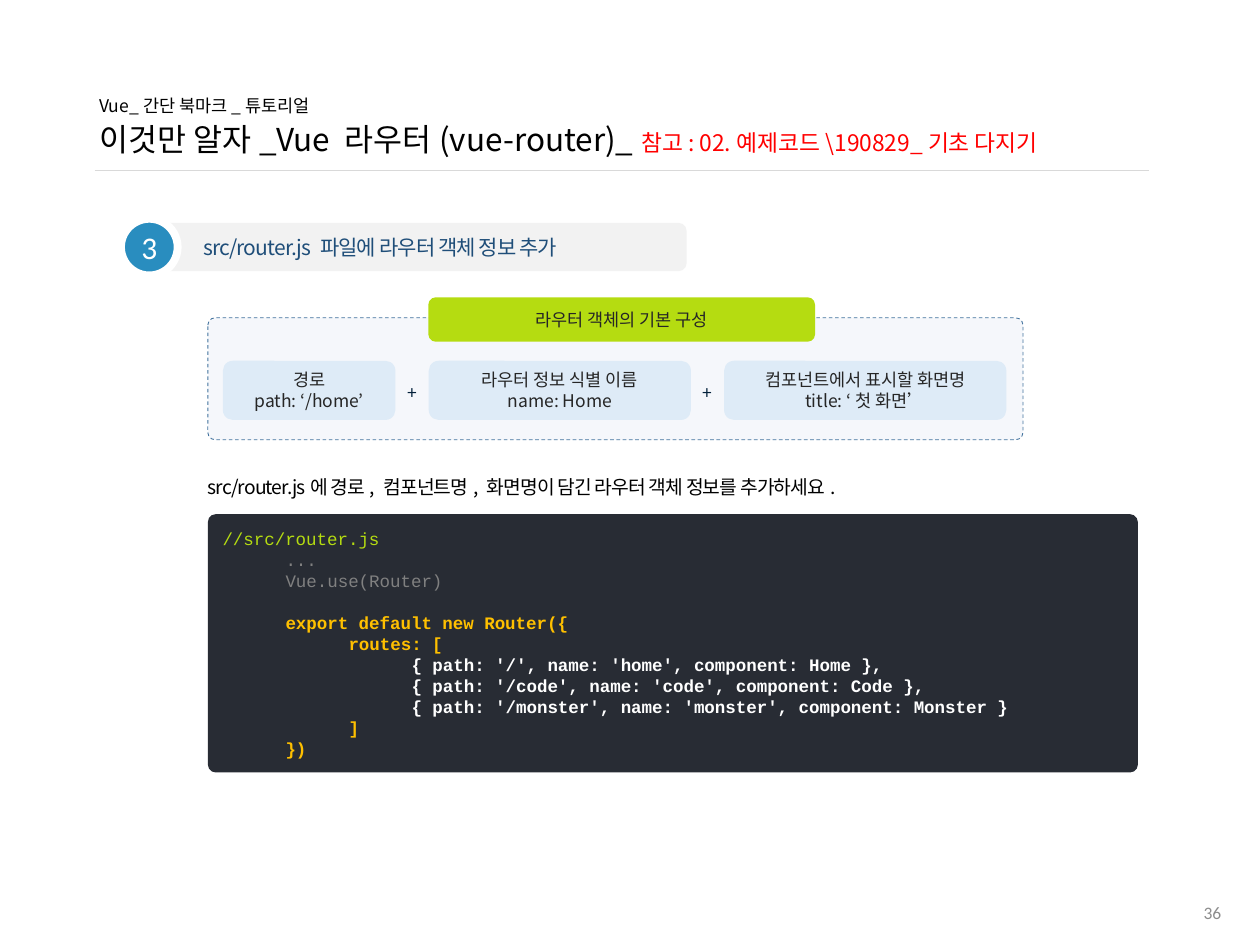
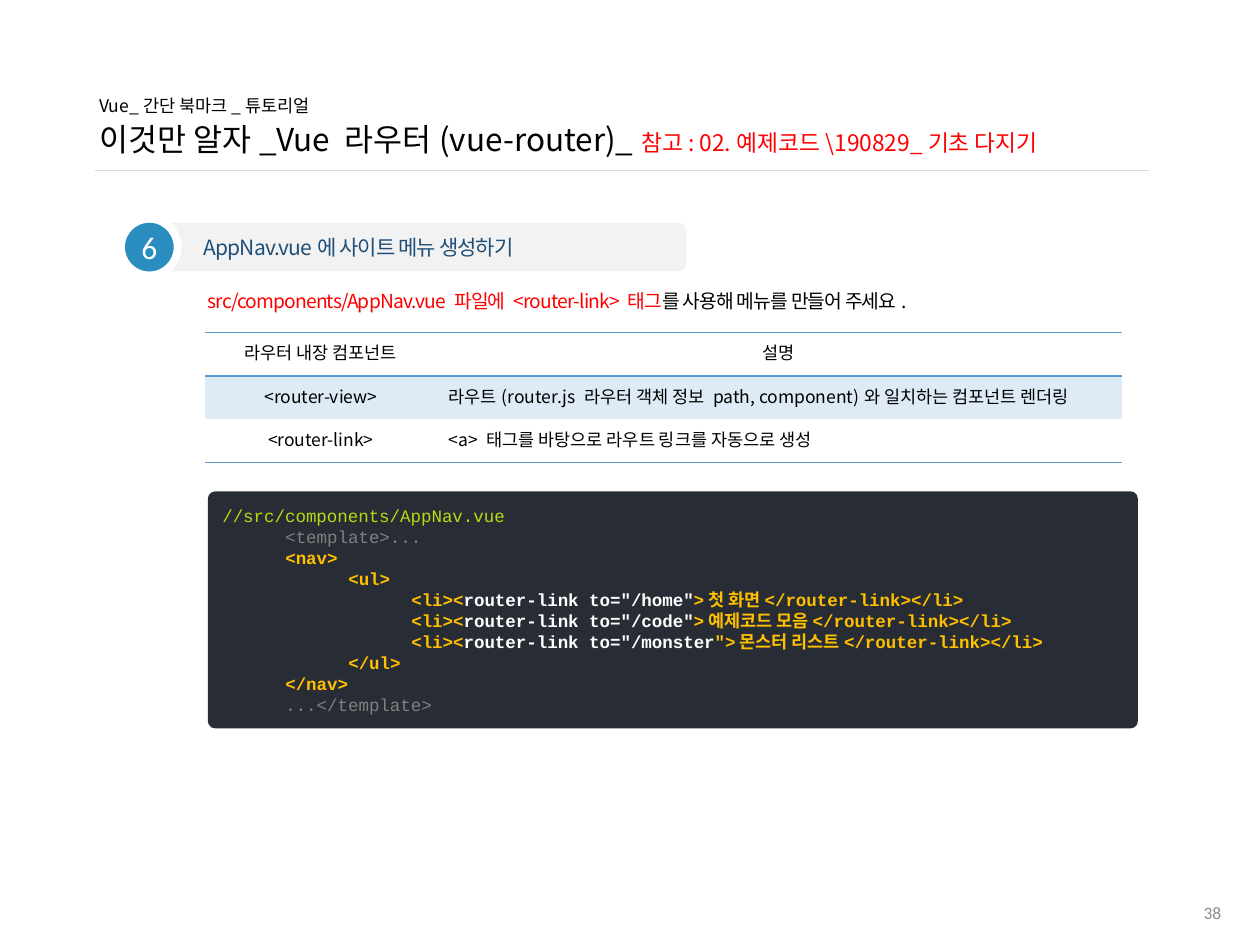
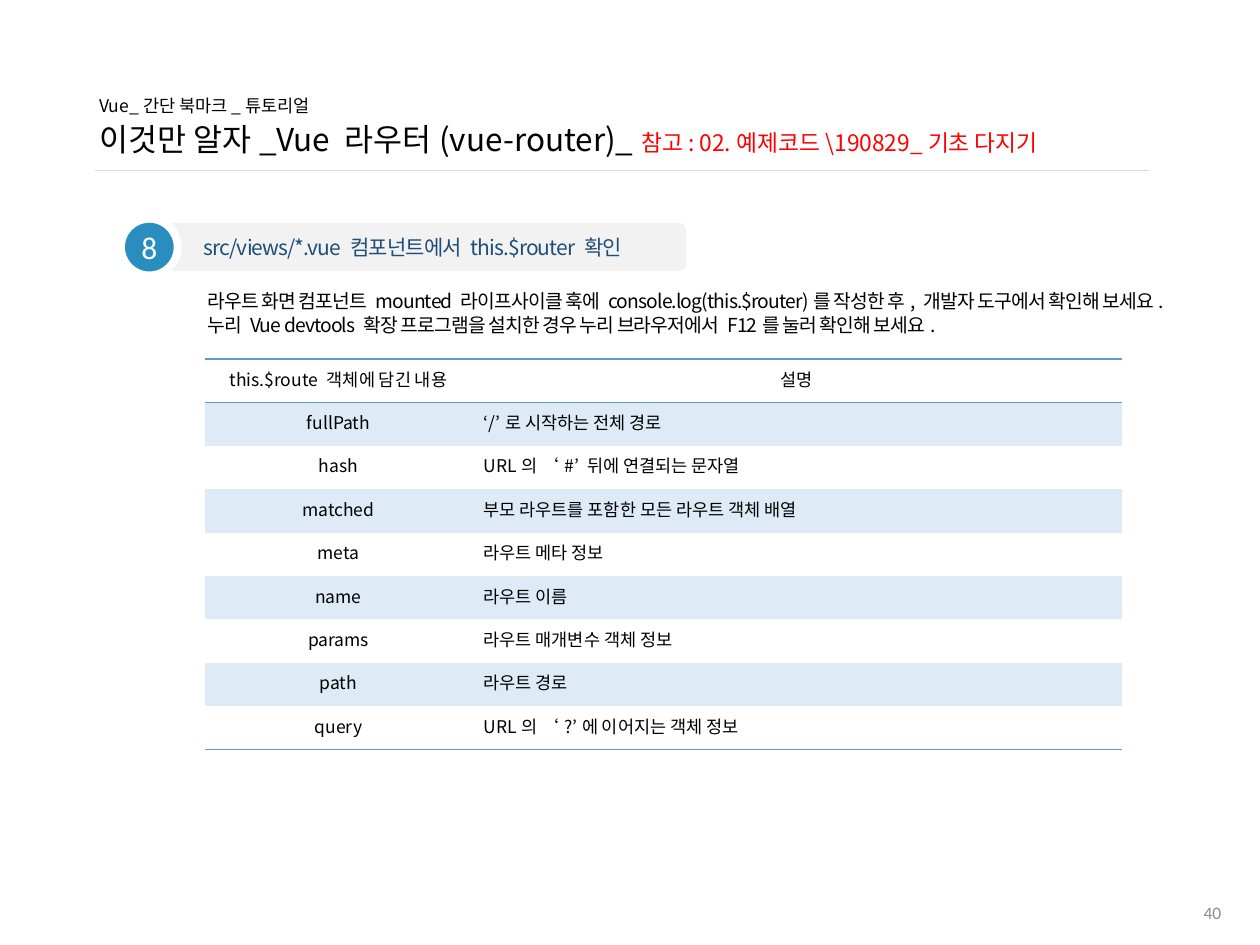
from lxml.etree import SubElement
from pptx import Presentation
from pptx.dml.color import RGBColor
from pptx.enum.dml import MSO_LINE
from pptx.enum.shapes import MSO_CONNECTOR, MSO_SHAPE
from pptx.enum.text import MSO_ANCHOR, PP_ALIGN
from pptx.oxml.ns import qn
from pptx.util import Pt

COLORS = {
    "black": "000000", "white": "FFFFFF", "red": "FF0000", "rule": "D9D9D9",
    "number": "8C8C8C", "bar": "F2F2F2", "heading": "1F4E79", "badge": "298DBF",
    "editor": "282C34", "lime": "B5DC11", "gray": "808080", "gold": "FFC000",
    "panel": "DAE3F3", "dash": "43739E", "chip": "DEEBF7", "chip_text": "262626",
    "plus": "02203A", "table_line": "5B9BD5",
}
SANS, MONO, NUMERALS = "Noto Sans CJK KR", "Courier New", "Calibri"
NO_STYLE = "{2D5ABB26-0587-4C30-8999-92F81FD0307C}"
TITLE_RUNS = [
    ("이것만 알자_Vue 라우터(vue-router)_", 18, "black"),
    ("참고: 02.예제코드\\190829_기초 다지기", 13, "red"),
]
ROUTER_CODE = [
    (0, [("//src/router.js", "lime")]),
    (1, [("...", "gray")]),
    (1, [("Vue.use(Router)", "gray")]),
    (1, [("export default new Router({", "gold")]),
    (2, [("routes: [", "gold")]),
    (3, [("{ path: '/', name: 'home', component: Home },", "white")]),
    (3, [("{ path: '/code', name: 'code', component: Code },", "white")]),
    (3, [("{ path: '/monster', name: 'monster', component: Monster }", "white")]),
    (2, [("]", "gold")]),
    (1, [("})", "gold")]),
]
NAV_CODE = [
    (0, [("//src/components/AppNav.vue", "lime")]),
    (1, [("<template>...", "gray")]),
    (1, [("<nav>", "gold")]),
    (2, [("<ul>", "gold")]),
    (3, [("<li><", "gold"), ('router-link to="/home"', "white"),
         (">첫 화면</router-link></li>", "gold")]),
    (3, [("<li><", "gold"), ('router-link to="/code"', "white"),
         (">예제코드 모음</router-link></li>", "gold")]),
    (3, [("<li><", "gold"), ('router-link to="/monster', "white"),
         ('">몬스터 리스트</router-link></li>', "gold")]),
    (2, [("</ul>", "gold")]),
    (1, [("</nav>", "gold")]),
    (1, [("...</template>", "gray")]),
]
COMPONENT_ROWS = [
    ("라우터 내장 컴포넌트", "설명"),
    ("<router-view>", "라우트(router.js 라우터 객체 정보 path, component)와 일치하는 컴포넌트 렌더링"),
    ("<router-link>", "<a> 태그를 바탕으로 라우트 링크를 자동으로 생성"),
]
ROUTE_ROWS = [
    ("this.$route 객체에 담긴 내용", "설명"),
    ("fullPath", "‘/’로 시작하는 전체 경로"),
    ("hash", "URL의 ‘#’ 뒤에 연결되는 문자열"),
    ("matched", "부모 라우트를 포함한 모든 라우트 객체 배열"),
    ("meta", "라우트 메타 정보"),
    ("name", "라우트 이름"),
    ("params", "라우트 매개변수 객체 정보"),
    ("path", "라우트 경로"),
    ("query", "URL의 ‘?’에 이어지는 객체 정보"),
]


def rgb(name):
    return RGBColor.from_string(COLORS[name])


def set_face(font, face):
    font.name = face
    SubElement(font._rPr, qn("a:ea")).set("typeface", SANS)


def write(frame, lines, size, color="black", align=PP_ALIGN.LEFT, face=SANS, tracking=0):
    for index, line in enumerate(lines):
        paragraph = frame.paragraphs[0] if index == 0 else frame.add_paragraph()
        runs = [(line, color)] if isinstance(line, str) else line
        paragraph.alignment = align
        paragraph.line_spacing = Pt(size * 1.2)
        paragraph.font.size = Pt(size)
        paragraph.font.color.rgb = rgb(runs[0][1])
        set_face(paragraph.font, face)
        if tracking:
            paragraph.font._rPr.set("spc", str(int(tracking * 100)))
        for text, run_color in runs:
            run = paragraph.add_run()
            run.text = text
            if len(runs) > 1:
                run.font.color.rgb = rgb(run_color)


def add_block(slide, kind, box, fill, corner=None):
    block = slide.shapes.add_shape(kind, *map(Pt, box))
    block.shadow.inherit = False
    block.fill.solid()
    block.fill.fore_color.rgb = rgb(fill)
    block.line.fill.background()
    if corner is not None:
        block.adjustments[0] = corner
    block.text_frame.word_wrap = True
    block.text_frame.vertical_anchor = MSO_ANCHOR.MIDDLE
    return block


def add_label(slide, box, lines, size, side_inset=7.2, anchor=MSO_ANCHOR.TOP, **style):
    label = slide.shapes.add_textbox(*map(Pt, box))
    frame = label.text_frame
    frame.word_wrap = True
    frame.vertical_anchor = anchor
    frame.margin_right = Pt(side_inset)
    write(frame, lines, size, **style)
    return label


def add_title(slide):
    title = slide.shapes.title
    title.left, title.top, title.width, title.height = map(Pt, (49.7, 43.2, 620.6, 56.9))
    title.text_frame.vertical_anchor = MSO_ANCHOR.MIDDLE
    paragraph = title.text_frame.paragraphs[0]
    paragraph.alignment = PP_ALIGN.LEFT
    paragraph.line_spacing = 1.1
    set_face(paragraph.font, SANS)
    for index, (text, size, color) in enumerate(
            [("Vue_간단 북마크_튜토리얼", 10, "black")] + TITLE_RUNS):
        if index == 1:
            paragraph.add_line_break()
        run = paragraph.add_run()
        run.text = text
        run.font.size = Pt(size)
        run.font.color.rgb = rgb(color)


def add_rule(slide):
    rule = slide.shapes.add_connector(
        MSO_CONNECTOR.STRAIGHT, Pt(54), Pt(97.2), Pt(656.6), Pt(97.2))
    rule.line.color.rgb = rgb("rule")
    rule.line.width = Pt(0.5)
    SubElement(rule._element.spPr, qn("a:effectLst"))


def start_step(deck, page, step, heading):
    slide = deck.slides.add_slide(deck.slide_layouts[5])
    add_title(slide)
    bar = add_block(slide, MSO_SHAPE.ROUNDED_RECTANGLE, (87.1, 127.4, 305.3, 27.6), "bar")
    bar.text_frame.margin_left = Pt(28.1)
    write(bar.text_frame, [heading], 12, "heading", tracking=-0.5)
    badge = add_block(slide, MSO_SHAPE.OVAL, (69.1, 125, 32.4, 32.4), "badge")
    badge.line.color.rgb = rgb("white")
    badge.line.width = Pt(4.5)
    badge.text_frame.margin_left = badge.text_frame.margin_right = 0
    write(badge.text_frame, [step], 18, "white", PP_ALIGN.CENTER, NUMERALS)
    add_rule(slide)
    add_label(slide, (542.9, 506.9, 162, 28.8), [page], 10, anchor=MSO_ANCHOR.MIDDLE,
              color="number", align=PP_ALIGN.RIGHT, face=NUMERALS)
    return slide


def add_instruction(slide, top, lines):
    add_label(slide, (111.6, top, 565.2, 20.9 + 13.2 * (len(lines) - 1)), lines, 11,
              side_inset=0, tracking=-0.5)


def add_code(slide, top, height, code, gap_before=None):
    editor = add_block(slide, MSO_SHAPE.ROUNDED_RECTANGLE,
                       (118.8, top, 531.4, height), "editor", 0.03)
    write(editor.text_frame, [runs for _, runs in code], 10, face=MONO)
    for index, (level, runs) in enumerate(code):
        paragraph = editor.text_frame.paragraphs[index]
        paragraph.level = level
        paragraph._p.get_or_add_pPr().set("marL", str(Pt(36 * level)))
        paragraph.font.bold = runs[0][1] in ("gold", "white")
        if index == gap_before:
            paragraph.space_before = Pt(12)


def add_chip(slide, box, lines, fill="chip"):
    chip = add_block(slide, MSO_SHAPE.ROUNDED_RECTANGLE, box, fill)
    write(chip.text_frame, lines, 10, "chip_text", PP_ALIGN.CENTER)


def add_route_parts(slide):
    panel = add_block(slide, MSO_SHAPE.ROUNDED_RECTANGLE,
                      (118.8, 181.6, 465.8, 69.7), "panel", 0.06)
    tint = panel.fill._xPr.find(qn("a:solidFill"))[0]
    SubElement(tint, qn("a:alpha")).set("val", "25000")
    panel.line.color.rgb = rgb("dash")
    panel.line.width = Pt(0.5)
    panel.line.dash_style = MSO_LINE.DASH
    add_chip(slide, (244.8, 169.9, 221, 25.4), ["라우터 객체의 기본 구성"], "lime")

    parts = [
        (98.6, ["경로", "path: ‘/home’"]),
        (149.8, ["라우터 정보 식별 이름", "name: Home"]),
        (161.3, ["컴포넌트에서 표시할 화면명", "title: ‘첫 화면’"]),
    ]
    left, gap = 127.4, 19
    for index, (width, lines) in enumerate(parts):
        if index:
            plus = add_label(slide, (left - gap, 214.6, gap, 19.4), ["+"], 10,
                             side_inset=0, color="plus", align=PP_ALIGN.CENTER)
            plus.text_frame.margin_left = 0
        add_chip(slide, (left, 206.2, width, 33.8), lines)
        left += width + gap


def add_border(cell, side):
    line = SubElement(cell._tc.get_or_add_tcPr(), qn(f"a:{side}"), w=str(Pt(1)))
    fill = SubElement(line, qn("a:solidFill"))
    SubElement(fill, qn("a:srgbClr")).set("val", COLORS["table_line"])


def add_reference(slide, top, widths, rows):
    row_height = 24.8
    table = slide.shapes.add_table(
        len(rows), len(widths), Pt(117.4), Pt(top),
        Pt(sum(widths)), Pt(row_height * len(rows))).table
    table.first_row = table.horz_banding = False
    table._tbl.tblPr.find(qn("a:tableStyleId")).text = NO_STYLE
    for column, width in zip(table.columns, widths):
        column.width = Pt(width)
    for r, texts in enumerate(rows):
        table.rows[r].height = Pt(row_height)
        for c, text in enumerate(texts):
            cell = table.cell(r, c)
            cell.vertical_anchor = MSO_ANCHOR.MIDDLE
            centered = r == 0 or c == 0
            write(cell.text_frame, [text], 10,
                  align=PP_ALIGN.CENTER if centered else PP_ALIGN.LEFT)
            if r == 0:
                add_border(cell, "lnT")
            if r in (0, len(rows) - 1):
                add_border(cell, "lnB")
            if r % 2:
                cell.fill.solid()
                cell.fill.fore_color.rgb = rgb("chip")
            else:
                cell.fill.background()


def main():
    deck = Presentation()
    deck.slide_width, deck.slide_height = Pt(720), Pt(540)

    router = start_step(deck, "36", "3", "src/router.js 파일에 라우터 객체 정보 추가")
    add_route_parts(router)
    add_instruction(router, 267.8, [
        "src/router.js에 경로, 컴포넌트명, 화면명이 담긴 라우터 객체 정보를 추가하세요."])
    add_code(router, 293.8, 147.6, ROUTER_CODE, gap_before=3)

    menu = start_step(deck, "38", "6", "AppNav.vue에 사이트 메뉴 생성하기")
    add_instruction(menu, 162, [[
        ("src/components/AppNav.vue 파일에 <router-link> 태그", "red"),
        ("를 사용해 메뉴를 만들어 주세요.", "black")]])
    add_reference(menu, 190.1, (131.8, 391.7), COMPONENT_ROWS)
    add_code(menu, 280.8, 135.4, NAV_CODE)

    inspection = start_step(deck, "40", "8", "src/views/*.vue 컴포넌트에서 this.$router 확인")
    add_instruction(inspection, 162, [
        "라우트 화면 컴포넌트 mounted 라이프사이클 훅에 console.log(this.$router)를 작성한 후, "
        "개발자 도구에서 확인해 보세요.",
        "누리 Vue devtools 확장 프로그램을 설치한 경우 누리 브라우저에서 F12를 눌러 확인해 보세요."])
    add_reference(inspection, 205.2, (151.9, 371.6), ROUTE_ROWS)

    deck.save("out.pptx")


if __name__ == "__main__":
    main()
